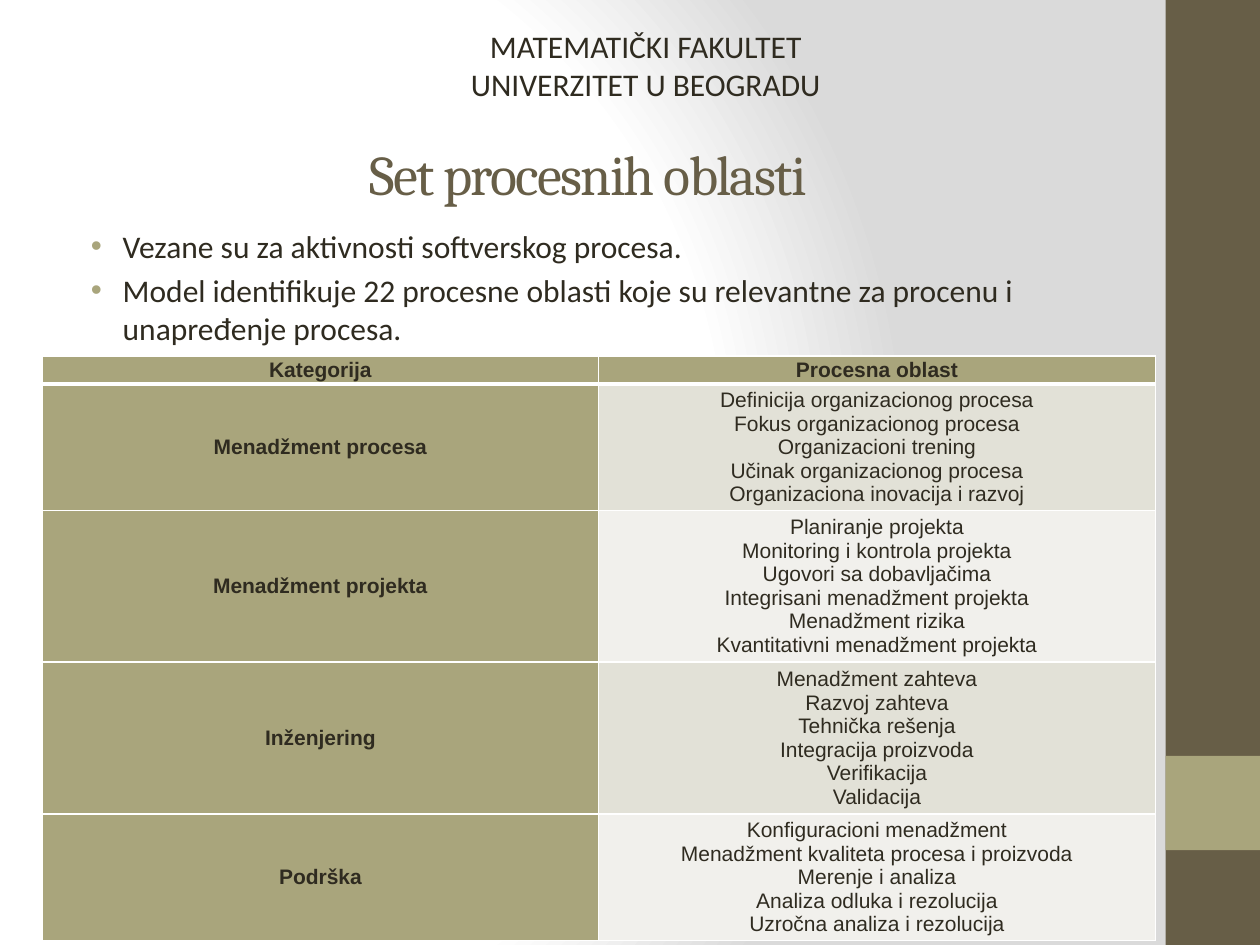
import pptx
import pptx.dml.color
import pptx.enum.shapes
import pptx.enum.text
import pptx.oxml
import pptx.oxml.ns
import pptx.util
from lxml import etree

Cm, Pt = pptx.util.Cm, pptx.util.Pt
qn = pptx.oxml.ns.qn
CENTER = pptx.enum.text.PP_ALIGN.CENTER
MIDDLE = pptx.enum.text.MSO_ANCHOR.MIDDLE
COLORS = {"brown": "675E47", "olive": "A9A57C", "text": "2F2B20", "white": "FFFFFF",
          "grey": "DADADA", "band_dark": "E2E1D7", "band_light": "F1F0EC"}
BULLETS = [
    "Vezane su za aktivnosti softverskog procesa.",
    "Model identifikuje 22 procesne oblasti koje su relevantne za procenu i unapređenje procesa.",
]
AREAS = {
    "Menadžment procesa": [
        "Definicija organizacionog procesa", "Fokus organizacionog procesa",
        "Organizacioni trening", "Učinak organizacionog procesa",
        "Organizaciona inovacija i razvoj"],
    "Menadžment projekta": [
        "Planiranje projekta", "Monitoring i kontrola projekta", "Ugovori sa dobavljačima",
        "Integrisani menadžment projekta", "Menadžment rizika",
        "Kvantitativni menadžment projekta"],
    "Inženjering": [
        "Menadžment zahteva", "Razvoj zahteva", "Tehnička rešenja",
        "Integracija proizvoda", "Verifikacija", "Validacija"],
    "Podrška": [
        "Konfiguracioni menadžment", "Menadžment kvaliteta procesa i proizvoda",
        "Merenje i analiza", "Analiza odluka i rezolucija", "Uzročna analiza i rezolucija"],
}


def rgb(name):
    """Return the named colour."""
    return pptx.dml.color.RGBColor.from_string(COLORS[name])


def sub(parent, tag, **attrs):
    """Append a child element with attributes."""
    return etree.SubElement(parent, qn(tag), attrs)


def sub_fill(parent, color):
    """Append a solid fill."""
    sub(sub(parent, "a:solidFill"), "a:srgbClr", val=COLORS[color])


def set_font(p, name, size, color="text", bold=False):
    """Format the text of a paragraph."""
    p.font.name, p.font.size, p.font.bold = name, Pt(size), bold
    p.font.color.rgb = rgb(color)


def place(sp, box):
    """Move a shape to a box of left, top, width and height in cm."""
    sp.left, sp.top, sp.width, sp.height = map(Cm, box)


def add_background(s):
    """Give the slide its radial gradient."""
    bg = pptx.oxml.parse_xml(f"<p:bg {pptx.oxml.ns.nsdecls('p', 'a')}><p:bgPr/></p:bg>")
    grad = sub(bg[0], "a:gradFill", rotWithShape="1")
    stops = sub(grad, "a:gsLst")
    for pos, color in ((0, "white"), (75, "white"), (100, "grey")):
        sub(sub(stops, "a:gs", pos=str(pos * 1000)), "a:srgbClr", val=COLORS[color])
    circle = sub(grad, "a:path", path="circle")
    sub(circle, "a:fillToRect", l="20000", t="50000", r="100000", b="50000")
    sub(bg[0], "a:effectLst")
    s.element.cSld.insert(0, bg)


def add_sidebar(s, box):
    """Draw the side band with its square accent."""
    left, top, width, height = box
    accent = (left, top + 0.8 * height, width, width)
    for part, color in ((box, "brown"), (accent, "olive")):
        sp = s.shapes.add_shape(pptx.enum.shapes.MSO_SHAPE.RECTANGLE, *map(Cm, part))
        sp.shadow.inherit = False
        sp.fill.solid()
        sp.fill.fore_color.rgb = rgb(color)
        sp.line.fill.background()


def add_title(s, box):
    """Fill the title placeholder."""
    sp = s.shapes.title
    place(sp, box)
    tf = sp.text_frame
    tf.text = "Set procesnih oblasti"
    tf.vertical_anchor = MIDDLE
    p = tf.paragraphs[0]
    p.alignment = CENTER
    set_font(p, "Cambria", 32, "brown")
    p._p.pPr.find(qn("a:defRPr")).set("spc", "-100")


def add_bullets(s, box):
    """Fill the body placeholder with the bullet list."""
    sp = s.placeholders[1]
    place(sp, box)
    tf = sp.text_frame
    tf.text = "\n".join(BULLETS)
    tf.auto_size = pptx.enum.text.MSO_AUTO_SIZE.NONE
    for i, p in enumerate(tf.paragraphs):
        p.space_before = Pt(3.6 if i else 0)
        pPr = p._p.get_or_add_pPr()
        pPr.set("marL", str(Cm(0.95)))
        pPr.set("indent", str(Cm(-0.64)))
        sub(sub(pPr, "a:buClr"), "a:srgbClr", val=COLORS["olive"])
        sub(pPr, "a:buFont", typeface="Arial")
        sub(pPr, "a:buChar", char="•")
        set_font(p, "Calibri", 18)


def add_header(s, box):
    """Write the institution at the top."""
    tf = s.shapes.add_textbox(*map(Cm, box)).text_frame
    tf.word_wrap = True
    tf.text = "MATEMATIČKI FAKULTET\nUNIVERZITET U BEOGRADU"
    for p in tf.paragraphs:
        p.alignment = CENTER
        set_font(p, "Calibri", 18)


def format_cell(cell, lines, fill, bold, top, bottom):
    """Write and format a table cell with borders of the given widths."""
    tcPr = cell._tc.get_or_add_tcPr()
    for side, width in (("L", 1), ("R", 1), ("T", top), ("B", bottom)):
        sub_fill(sub(tcPr, f"a:ln{side}", w=str(Pt(width))), "white")
    cell.fill.solid()
    cell.fill.fore_color.rgb = rgb(fill)
    cell.vertical_anchor = MIDDLE
    cell.margin_left = cell.margin_right = Cm(0.18)
    cell.margin_top = cell.margin_bottom = 0
    cell.text = "\n".join(lines)
    for p in cell.text_frame.paragraphs:
        p.alignment = CENTER
        set_font(p, "Arial", 12, bold=bold)


def add_area_table(s, box):
    """Build the table of categories and their process areas."""
    rows = [("Kategorija", ["Procesna oblast"]), *AREAS.items()]
    table = s.shapes.add_table(len(rows), 2, *map(Cm, box)).table
    table.first_row = table.horz_banding = False
    for i, (category, areas) in enumerate(rows):
        table.rows[i].height = Cm(0.51 * len(areas) if i else 0.56)
        band = "band_dark" if i % 2 else "band_light"
        top, bottom = 3 if i == 1 else 1, 1 if i else 3
        format_cell(table.cell(i, 0), [category], "olive", True, top, bottom)
        format_cell(table.cell(i, 1), areas, band if i else "olive", i == 0, top, bottom)


def main():
    """Build and save the presentation."""
    prs = pptx.Presentation()
    prs.slide_width, prs.slide_height = Cm(25.4), Cm(19.05)
    s = prs.slides.add_slide(prs.slide_layouts[1])
    add_background(s)
    add_sidebar(s, (23.5, 0, 1.9, 19.05))
    add_title(s, (1.27, 1.9, 21.17, 3.18))
    add_bullets(s, (1.27, 4.45, 21.17, 13.33))
    add_header(s, (4.87, 0.42, 16.3, 1.8))
    add_area_table(s, (0.85, 7.18, 22.44, 11.73))
    prs.save("out.pptx")


if __name__ == "__main__":
    main()
